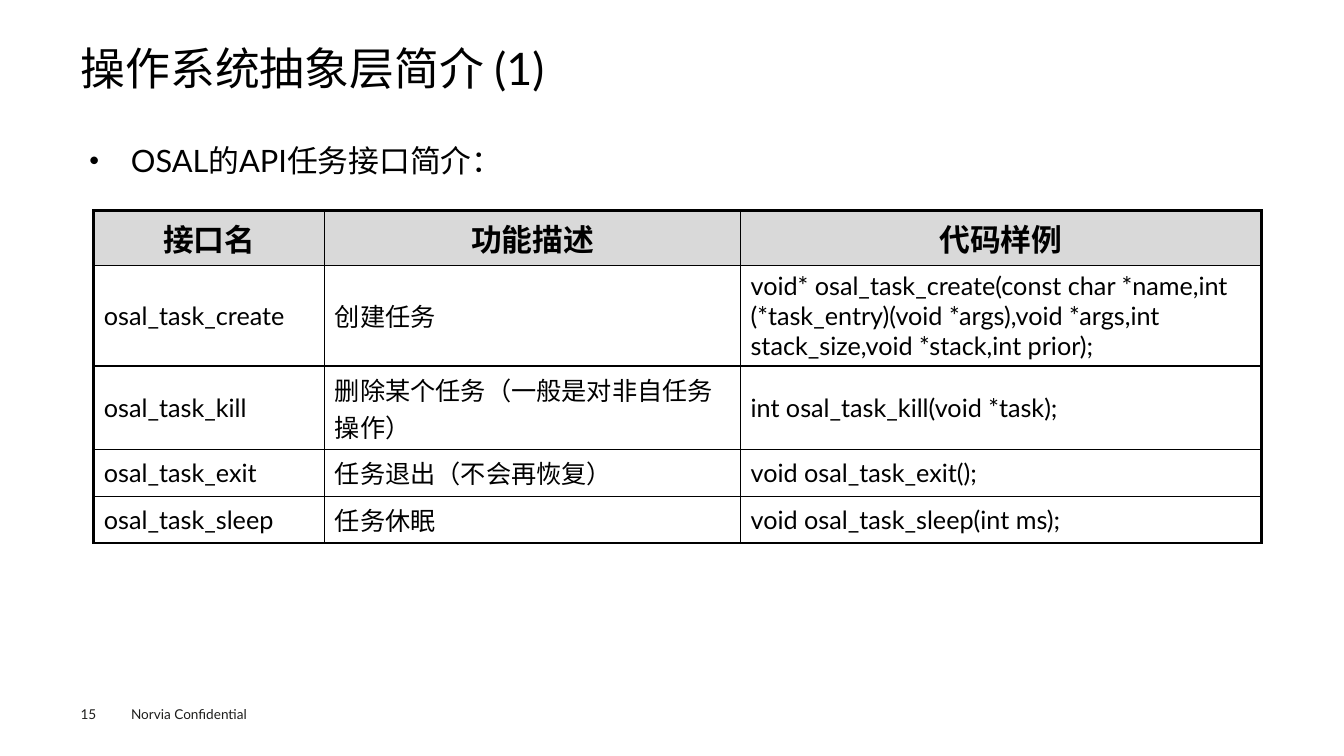
from pptx import Presentation
from pptx.util import Pt
from pptx.dml.color import RGBColor as RGB
from pptx.enum.text import PP_ALIGN as AL, MSO_ANCHOR as ANC
from pptx.oxml.ns import qn
from lxml.etree import SubElement as Sub

COLORS = {"ink": "000000", "footer": "1D1D1B", "header": "D9D9D9", "paper": "FFFFFF"}
THICK, THIN = 2.25, 1


class Deck:
    """Style and current slide."""
    font = "Lato"

    def __init__(self, prs):
        self.s = prs.slides.add_slide(prs.slide_layouts[6])

    def add_text(self, p, text, size, color="ink", bold=False, **fmt):
        for key, value in fmt.items():
            setattr(p, key, value)
        r = p.add_run()
        r.text = text
        for key, value in {"name": self.font, "size": Pt(size), "bold": bold}.items():
            setattr(r.font, key, value)
        r.font.color.rgb = RGB.from_string(COLORS[color])

    def text(self, box, text, size, color="ink", bullet=None, anchor=ANC.MIDDLE, **fmt):
        tf = self.s.shapes.add_textbox(*map(Pt, box)).text_frame
        frame = {"word_wrap": True, "vertical_anchor": anchor, "margin_left": 0,
                 "margin_right": 0, "margin_top": 0, "margin_bottom": 0}
        for key, value in frame.items():
            setattr(tf, key, value)
        p = tf.paragraphs[0]
        if bullet:
            char, percent, indent = bullet
            pPr = p._p.get_or_add_pPr()
            pPr.set("marL", str(Pt(indent)))
            pPr.set("indent", str(-Pt(indent)))
            Sub(pPr, qn("a:buSzPct"), val=str(percent * 1000))
            Sub(pPr, qn("a:buFont"), typeface=self.font)
            Sub(pPr, qn("a:buChar"), char=char)
        self.add_text(p, text, size, color, **fmt)

    def border(self, cell, widths):
        tcPr = cell._tc.get_or_add_tcPr()
        for side, width in zip("LRTB", widths):
            ln = Sub(tcPr, qn(f"a:ln{side}"), w=str(Pt(width)))
            Sub(Sub(ln, qn("a:solidFill")), qn("a:srgbClr"), val=COLORS["ink"])

    def table(self, left, top, widths, heights, rows):
        box = map(Pt, (left, top, sum(widths), sum(heights)))
        table = self.s.shapes.add_table(len(rows), len(widths), *box).table
        for col, width in zip(table.columns, widths):
            col.width = Pt(width)
        for row, height in zip(table.rows, heights):
            row.height = Pt(height)
        last_row, last_col = len(rows) - 1, len(widths) - 1
        for i, row in enumerate(rows):
            head = i == 0
            for j, text in enumerate(row):
                cell = table.cell(i, j)
                cell.vertical_anchor = ANC.MIDDLE
                edges = (j == 0, j == last_col, head, i == last_row)
                self.border(cell, [THICK if edge else THIN for edge in edges])
                cell.fill.solid()
                cell.fill.fore_color.rgb = RGB.from_string(COLORS["header" if head else "paper"])
                self.add_text(cell.text_frame.paragraphs[0], text, 22 if head else 18,
                              bold=head, alignment=AL.CENTER if head else AL.LEFT)


prs = Presentation()
prs.slide_width, prs.slide_height = Pt(960), Pt(540)
deck = Deck(prs)

# Title and lead line
deck.text((57.6, 32, 844.6, 38), "操作系统抽象层简介 (1)", 32, line_spacing=0.9)
deck.text((64, 86, 832, 46), "OSAL的API任务接口简介：", 22, bullet=("●", 50, 29.5),
          alignment=AL.JUSTIFY, line_spacing=1.4)

# Task interface table
deck.table(67, 150.5, (165, 297, 372), (39, 72, 59.5, 33.5, 33.5), (
    ("接口名", "功能描述", "代码样例"),
    ("osal_task_create", "创建任务",
     "void* osal_task_create(const char *name,int (*task_entry)(void *args),"
     "void *args,int stack_size,void *stack,int prior);"),
    ("osal_task_kill", "删除某个任务（一般是对非自任务操作）", "int osal_task_kill(void *task);"),
    ("osal_task_exit", "任务退出（不会再恢复）", "void osal_task_exit();"),
    ("osal_task_sleep", "任务休眠", "void osal_task_sleep(int ms);"),
))

# Footer
deck.text((57.6, 504, 35, 12), "15", 9.7, "footer")
deck.text((93.6, 504, 115, 12), "Norvia Confidential", 9.7, "footer")

prs.save("out.pptx")
